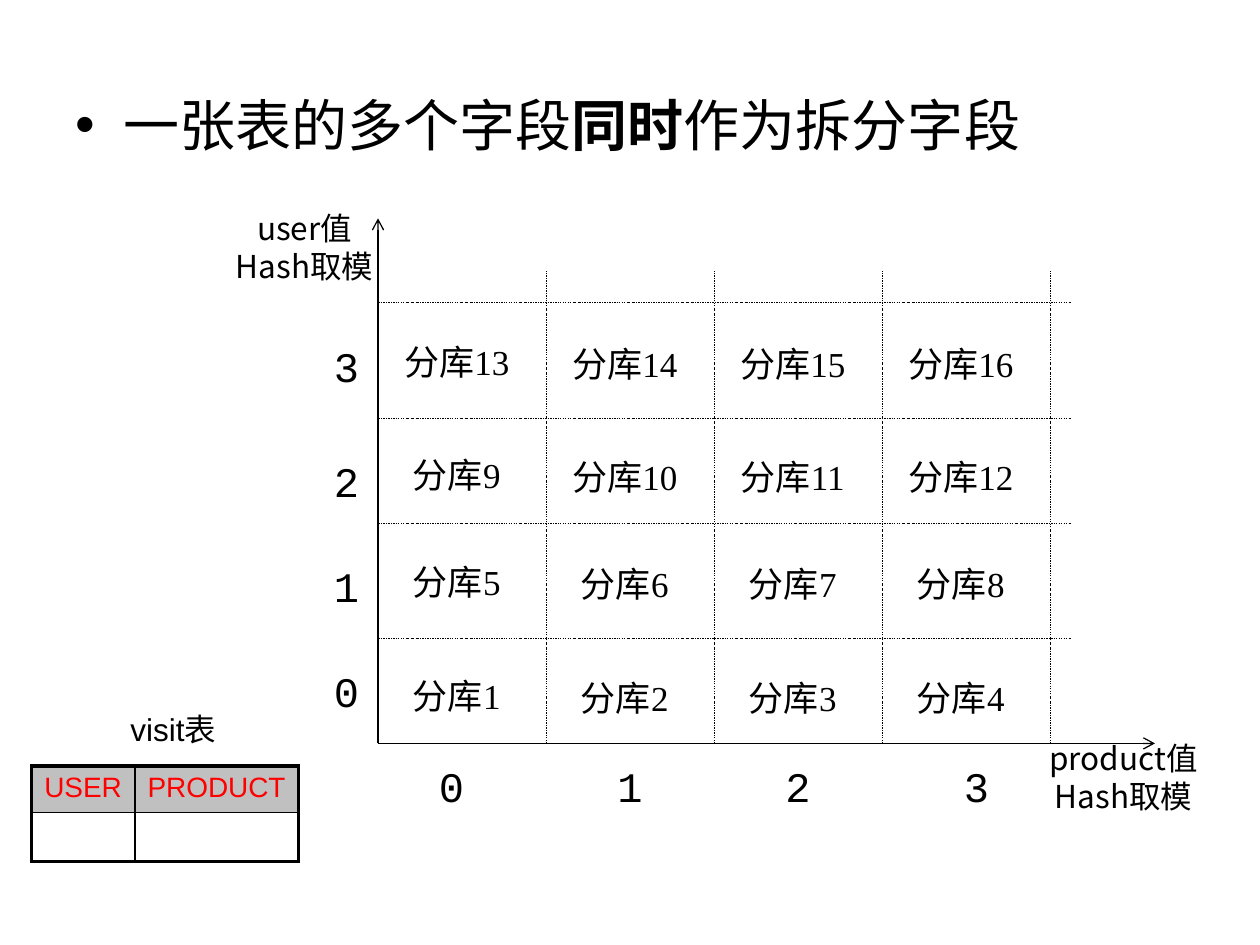
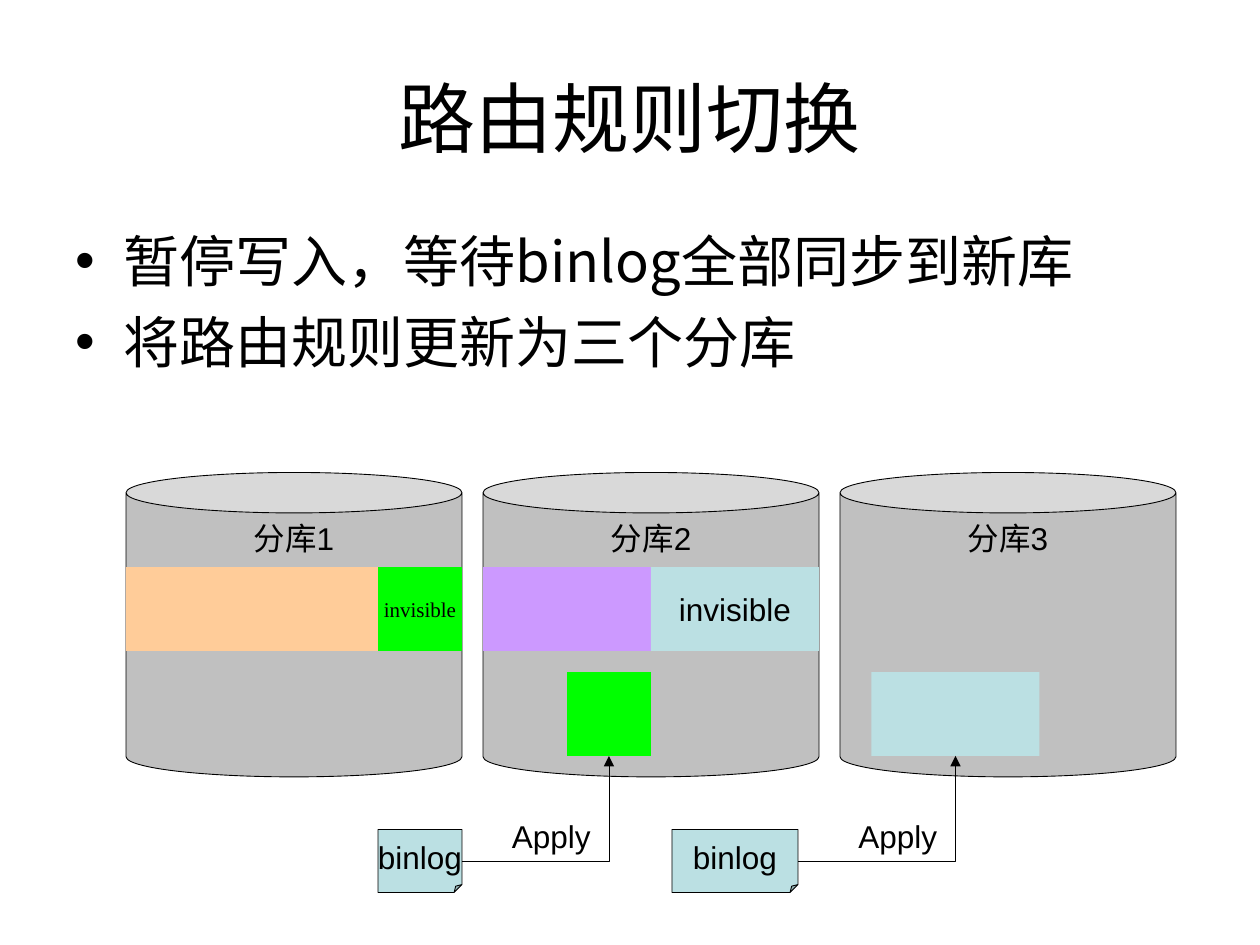
from lxml.etree import SubElement
from pptx import Presentation
from pptx.dml.color import RGBColor
from pptx.enum.dml import MSO_LINE
from pptx.enum.shapes import MSO_CONNECTOR, MSO_SHAPE
from pptx.enum.text import MSO_ANCHOR, PP_ALIGN
from pptx.oxml.ns import qn
from pptx.util import Inches, Pt

COLORS = {
    "black": "000000", "red": "FF0000", "gray": "C0C0C0", "orange": "FFCC99",
    "purple": "CC99FF", "green": "00FF00", "aqua": "BBE0E3",
}
RGB = {name: RGBColor.from_string(value) for name, value in COLORS.items()}
SANS, SERIF, MONO, CJK = "Arial", "Times New Roman", "Courier New", "Noto Sans CJK SC"
UNIT = Inches(1) / 12  # the slide is a grid of 120 columns by 90 rows


def write(shape, text, size, font, anchor=MSO_ANCHOR.TOP, wrap=True):
    """Put centred black text into a shape."""
    frame = shape.text_frame
    frame.text = text
    frame.word_wrap = wrap
    frame.vertical_anchor = anchor
    for paragraph in frame.paragraphs:
        paragraph.alignment = PP_ALIGN.CENTER
        paragraph.font.size = Pt(size)
        paragraph.font.name = font
        paragraph.font.color.rgb = RGB["black"]


def draw_line(slide, start, end, width, head=None, kind=MSO_CONNECTOR.STRAIGHT):
    """Draw a black connector between two grid points, with an optional arrowhead."""
    points = [round(value * UNIT) for value in (*start, *end)]
    connector = slide.shapes.add_connector(kind, *points)
    connector.line.color.rgb = RGB["black"]
    connector.line.width = Pt(width)
    properties = connector._element.spPr
    if head:
        SubElement(properties.find(qn("a:ln")), qn("a:tailEnd"), type=head)
    SubElement(properties, qn("a:effectLst"))
    return connector


presentation = Presentation()
presentation.slide_width = Inches(10)
presentation.slide_height = Inches(7.5)
title_only, blank = presentation.slide_layouts[5], presentation.slide_layouts[6]
grid_slide = presentation.slides.add_slide(blank)
switch_slide = presentation.slides.add_slide(title_only)

# Bulleted body text: each paragraph is a list of (text, bold) runs
bodies = [
    (grid_slide, 8, 9, SANS,
     [[("一张表的多个字段", False), ("同时", True), ("作为拆分字段", False)]]),
    (switch_slide, 21, 19, CJK,
     [[("暂停写入，等待binlog全部同步到新库", False)],
      [("将路由规则更新为三个分库", False)]]),
]
for slide, top, height, font, paragraphs in bodies:
    body = slide.shapes.add_textbox(*[round(v * UNIT) for v in (6, top, 108, height)])
    frame = body.text_frame
    frame.word_wrap = True
    for index, runs in enumerate(paragraphs):
        paragraph = frame.add_paragraph() if index else frame.paragraphs[0]
        properties = paragraph._p.get_or_add_pPr()
        properties.set("marL", str(Inches(0.38)))
        properties.set("indent", str(-Inches(0.38)))
        SubElement(properties, qn("a:buFont"), typeface=SANS)
        SubElement(properties, qn("a:buChar"), char="•")
        paragraph.space_before = Pt(7.7 if index else 0)
        paragraph.font.size = Pt(32)
        paragraph.font.name = font
        paragraph.font.color.rgb = RGB["black"]
        for text, bold in runs:
            run = paragraph.add_run()
            run.text = text
            run.font.bold = bold

# Slide 1: grid of databases, hashed by user (rows) and product (columns)
ORIGIN_X, ORIGIN_Y, COLUMN = 36, 70.8, 16
draw_line(grid_slide, (ORIGIN_X, ORIGIN_Y), (110, ORIGIN_Y), 0.75, "arrow")
draw_line(grid_slide, (ORIGIN_X, ORIGIN_Y), (ORIGIN_X, 20.8), 0.75, "arrow")
row_lines = [((ORIGIN_X, y), (102, y)) for y in (60.8, 49.8, 39.8, 28.8)]
column_lines = [((ORIGIN_X + COLUMN * n, ORIGIN_Y), (ORIGIN_X + COLUMN * n, 25.8))
                for n in range(1, 5)]
for start, end in row_lines + column_lines:
    draw_line(grid_slide, start, end, 0.25).line.dash_style = MSO_LINE.DASH_DOT

labels = [
    ("product值\vHash取模", 94, 69.8, 26, 8.4, 18, CJK),
    ("user值\vHash取模", 18, 19.3, 22, 8.4, 18, CJK),
    ("visit表", 7, 67, 19, 4.8, 18, SANS),
]
for row, top in enumerate((63.6, 52.8, 42.6, 31.8)):
    for column in range(4):
        labels.append((f"分库{row * 4 + column + 1}", ORIGIN_X + 1 + COLUMN * column,
                       top + (0.2 if column else 0), 13, 5.2, 20, SERIF))
for value, (top, left) in enumerate(zip((62.8, 52.8, 42.8, 31.8), (39, 56, 72, 89))):
    labels.append((str(value), 29, top, 8, 6, 24, MONO))
    labels.append((str(value), left, 71.8, 8, 6, 24, MONO))
for text, left, top, width, height, size, font in labels:
    position = [round(v * UNIT) for v in (left, top, width, height)]
    write(grid_slide.shapes.add_textbox(*position), text, size, font)

table = grid_slide.shapes.add_table(
    2, 2, Inches(0.25), Inches(6.08), Inches(2.12), Inches(0.75)).table
table.first_row = table.horz_banding = False
for index, (width, height) in enumerate(((0.82, 0.36), (1.3, 0.39))):
    table.columns[index].width = Inches(width)
    table.rows[index].height = Inches(height)
for row, texts in enumerate((("USER", "PRODUCT"), ("", ""))):
    for column, text in enumerate(texts):
        cell = table.cell(row, column)
        write(cell, text, 16, SANS, MSO_ANCHOR.MIDDLE)
        cell.text_frame.paragraphs[0].font.color.rgb = RGB["red"]
        cell.margin_left = cell.margin_right = Inches(0.05)
        outer_sides = {"L": column == 0, "R": column == 1, "T": row == 0, "B": row == 1}
        for side, outer in outer_sides.items():
            border = SubElement(cell._tc.get_or_add_tcPr(), qn(f"a:ln{side}"),
                                w=str(Pt(2.25 if outer else 1)))
            fill = SubElement(border, qn("a:solidFill"))
            SubElement(fill, qn("a:srgbClr"), val=COLORS["black"])
        if row == 0:
            cell.fill.solid()
            cell.fill.fore_color.rgb = RGB["gray"]
        else:
            cell.fill.background()

# Slide 2: databases, their data blocks and the binlogs applied to them
title = switch_slide.shapes.title
title.left, title.top, title.width, title.height = [
    round(v * UNIT) for v in (6, 3.6, 108, 15)]
write(title, "路由规则切换", 44, CJK, MSO_ANCHOR.MIDDLE)

CAN, BLOCK, NOTE = MSO_SHAPE.CAN, MSO_SHAPE.RECTANGLE, MSO_SHAPE.FOLDED_CORNER
adjustments = {CAN: 13300, NOTE: 12500}
parts = [(CAN, left, 45, 32, 29, "gray", f"分库{number}", 18, SANS)
         for number, left in enumerate((12, 46, 80), 1)]
parts += [
    (BLOCK, 12, 54, 24, 8, "orange", "", 18, SANS),
    (BLOCK, 36, 54, 8, 8, "green", "invisible", 12, SERIF),
    (BLOCK, 46, 54, 16, 8, "purple", "", 18, SANS),
    (BLOCK, 62, 54, 16, 8, "aqua", "invisible", 18, SANS),
    (BLOCK, 54, 64, 8, 8, "green", "", 18, SANS),
    (BLOCK, 83, 64, 16, 8, "aqua", "", 18, SANS),
    (NOTE, 36, 79, 8, 6, "aqua", "binlog", 18, SANS),
    (NOTE, 64, 79, 12, 6, "aqua", "binlog", 18, SANS),
]
for kind, left, top, width, height, color, text, size, font in parts:
    position = [round(v * UNIT) for v in (left, top, width, height)]
    shape = switch_slide.shapes.add_shape(kind, *position)
    shape.shadow.inherit = False
    shape.fill.solid()
    shape.fill.fore_color.rgb = RGB[color]
    if kind in adjustments:
        # The folded corner exposes no adjustments, so the guide is set in XML
        guides = shape._element.spPr.find(qn("a:prstGeom")).get_or_add_avLst()
        for guide in list(guides):
            guides.remove(guide)
        SubElement(guides, qn("a:gd"), name="adj", fmla=f"val {adjustments[kind]}")
        shape.line.color.rgb = RGB["black"]
        shape.line.width = Pt(0.5)
    else:
        shape.line.fill.background()
    if text:
        anchor = MSO_ANCHOR.TOP if kind == CAN else MSO_ANCHOR.MIDDLE
        write(shape, text, size, font, anchor, wrap=False)

for note_right, block_center, label_left in ((44, 58, 45), (76, 91, 78)):
    arrow = draw_line(switch_slide, (note_right, 82), (block_center, 72), 0.5,
                      "triangle", MSO_CONNECTOR.ELBOW)
    arrow._element.spPr.find(qn("a:prstGeom")).set("prst", "bentConnector2")
    position = [round(v * UNIT) for v in (label_left, 77.2, 15, 4.8)]
    write(switch_slide.shapes.add_textbox(*position), "Apply", 18, SANS)

presentation.save("out.pptx")
